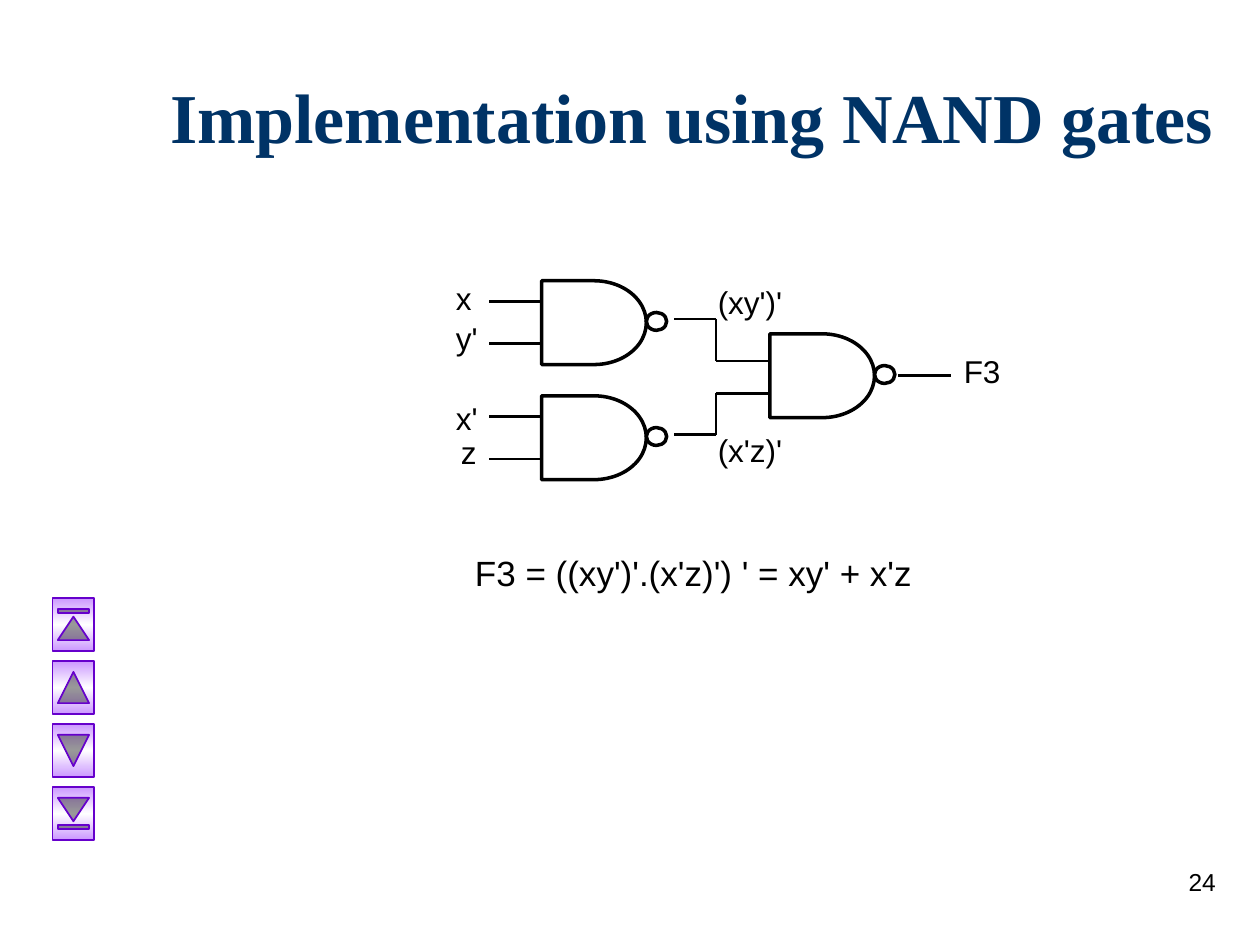
from copy import deepcopy

from lxml import etree
from pptx import Presentation
from pptx.dml.color import RGBColor
from pptx.enum.shapes import MSO_CONNECTOR, MSO_SHAPE
from pptx.enum.text import MSO_ANCHOR, PP_ALIGN
from pptx.oxml.ns import qn
from pptx.util import Cm, Pt

LEFT, CENTER, RIGHT = PP_ALIGN.LEFT, PP_ALIGN.CENTER, PP_ALIGN.RIGHT
TOP, MIDDLE = MSO_ANCHOR.TOP, MSO_ANCHOR.MIDDLE
DELAY, OVAL = MSO_SHAPE.FLOWCHART_DELAY, MSO_SHAPE.OVAL
STRAIGHT = MSO_CONNECTOR.STRAIGHT
# Turned a quarter clockwise, these point up, up, down and down
BUTTONS = (
    MSO_SHAPE.ACTION_BUTTON_BEGINNING,
    MSO_SHAPE.ACTION_BUTTON_BACK_OR_PREVIOUS,
    MSO_SHAPE.ACTION_BUTTON_FORWARD_OR_NEXT,
    MSO_SHAPE.ACTION_BUTTON_END,
)
GATE_W, GATE_H = 2.11, 1.69
BLACK, NAVY, PURPLE, LILAC, WHITE = "000000", "003366", "6600CC", "CC99FF", "FFFFFF"


def color(code):
    return RGBColor.from_string(code)


def add_text(slide, text, x, y, w, h, size=18, font="Arial", ink=BLACK,
             bold=False, align=LEFT, anchor=TOP):
    frame = slide.shapes.add_textbox(Cm(x), Cm(y), Cm(w), Cm(h)).text_frame
    frame.word_wrap = True
    frame.vertical_anchor = anchor
    par = frame.paragraphs[0]
    par.alignment = align
    run = par.add_run()
    run.text = text
    run.font.size = Pt(size)
    run.font.name = font
    run.font.bold = bold
    run.font.color.rgb = color(ink)


def add_wire(slide, *points):
    """Join the points with straight lines."""
    for (x1, y1), (x2, y2) in zip(points, points[1:]):
        wire = slide.shapes.add_connector(STRAIGHT, Cm(x1), Cm(y1), Cm(x2), Cm(y2))
        wire.line.color.rgb = color(BLACK)
        wire.line.width = Pt(1.5)
        etree.SubElement(wire._element.spPr, qn("a:effectLst"))


def add_form(slide, kind, x, y, w, h, ink, width):
    form = slide.shapes.add_shape(kind, Cm(x), Cm(y), Cm(w), Cm(h))
    form.shadow.inherit = False
    form.fill.background()
    form.line.color.rgb = color(ink)
    form.line.width = Pt(width)
    return form


def add_gate(slide, x, y):
    """Draw a NAND gate: an AND body with a bubble at its output."""
    add_form(slide, OVAL, x + GATE_W, y + 0.64, 0.41, 0.36, BLACK, 2)
    add_form(slide, DELAY, x, y, GATE_W, GATE_H, BLACK, 2)


def add_button(slide, kind, x, y):
    button = add_form(slide, kind, x, y, 1.06, 0.84, PURPLE, 1)
    button.rotation = 90
    fill = button.fill
    fill.gradient()
    fill.gradient_angle = 90
    # A third stop makes the fill run lilac, white, lilac
    grad = button._element.spPr.find(qn("a:gradFill"))
    grad.set("rotWithShape", "0")
    stops = grad.find(qn("a:gsLst"))
    stops.append(deepcopy(stops[0]))
    for stop, code, place in zip(fill.gradient_stops, (LILAC, WHITE, LILAC), (0, 0.5, 1)):
        stop.color.rgb = color(code)
        stop.position = place


def main():
    deck = Presentation()
    deck.slide_width, deck.slide_height = Cm(25.4), Cm(19.05)
    slide = deck.slides.add_slide(deck.slide_layouts[6])

    # Title and formula
    add_text(slide, "Implementation using NAND gates", 3.18, 1.27, 21.59, 2.12,
             size=40, font="Times New Roman", ink=NAVY, bold=True, anchor=MIDDLE)
    add_text(slide, "F3 = ((xy')'.(x'z)') ' = xy' + x'z", 8.69, 11, 10.59, 1.11,
             size=20, align=CENTER)

    # First level: gate top, output height, height at the next gate
    for top, out, end in ((5.66, 6.43, 7.28), (7.98, 8.76, 7.93)):
        for drop in (0.42, 1.27):
            add_wire(slide, (9.86, top + drop), (10.92, top + drop))
        add_wire(slide, (13.59, out), (14.43, out), (14.43, end), (15.49, end))
        add_gate(slide, 10.92, top)

    # Second level
    add_gate(slide, 15.52, 6.73)
    add_wire(slide, (18.11, 7.57), (19.18, 7.57))

    # Signal names
    for name, x, y, w, align in (
        ("x", 8.69, 5.51, 1.07, RIGHT),
        ("y'", 8.81, 6.3, 1.07, RIGHT),
        ("x'", 8.81, 7.92, 1.07, RIGHT),
        ("z", 9.02, 8.61, 0.84, RIGHT),
        ("(xy')'", 14.22, 5.59, 1.98, LEFT),
        ("(x'z)'", 14.22, 8.56, 1.98, LEFT),
        ("F3", 19.18, 6.98, 1.47, LEFT),
    ):
        add_text(slide, name, x, y, w, 1.02, align=align)

    # Navigation buttons
    for row, kind in enumerate(BUTTONS):
        add_button(slide, kind, 0.95, 12.17 + 1.27 * row)

    # Page number
    add_text(slide, "24", 19.47, 17.36, 5.29, 1.27, size=14, align=RIGHT)

    deck.save("out.pptx")


if __name__ == "__main__":
    main()
